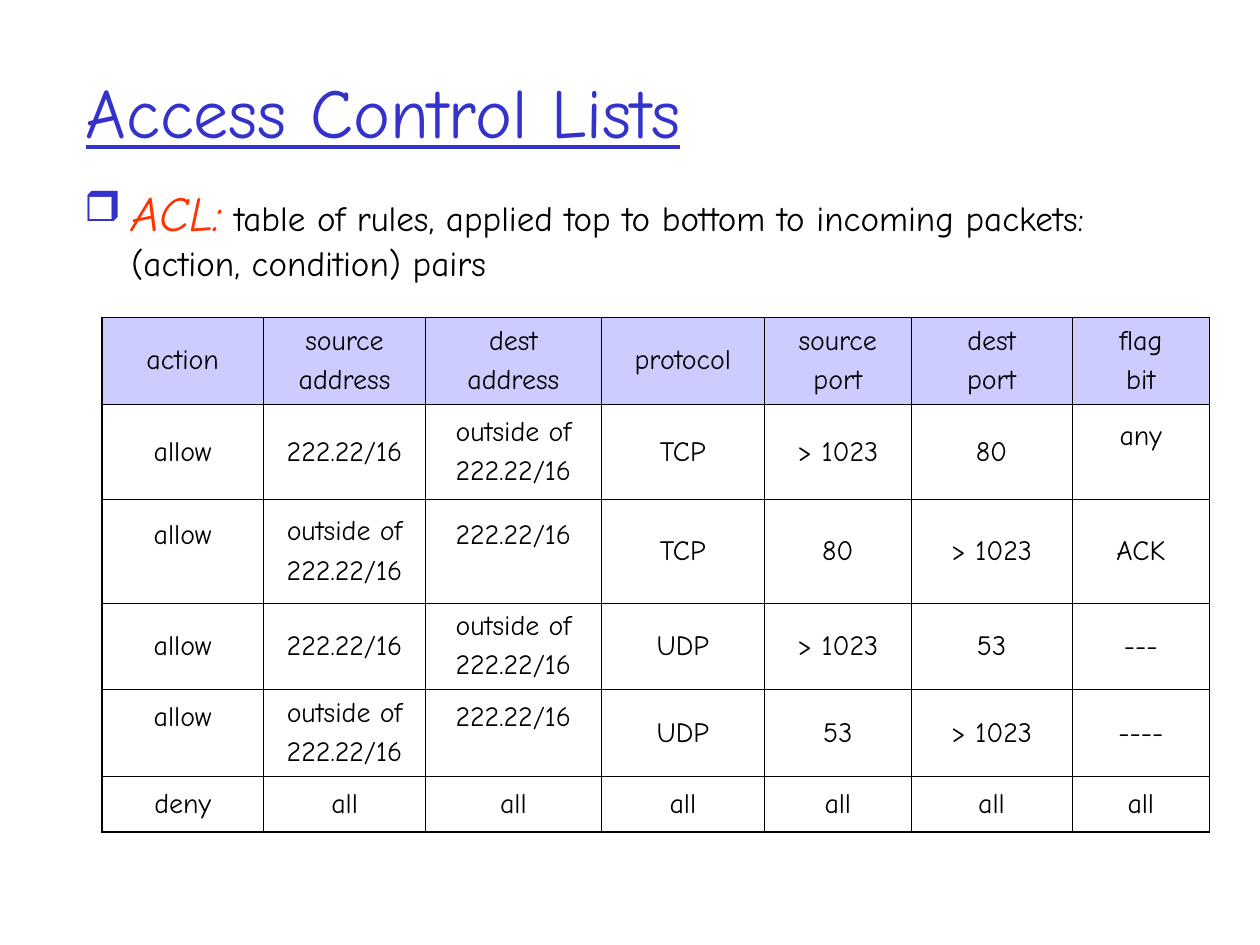
from lxml import etree
from pptx import Presentation
from pptx.dml.color import RGBColor
from pptx.enum.text import MSO_ANCHOR, MSO_AUTO_SIZE, PP_ALIGN
from pptx.oxml.ns import qn
from pptx.util import Pt

LEFT, CENTER = PP_ALIGN.LEFT, PP_ALIGN.CENTER
MIDDLE = MSO_ANCHOR.MIDDLE
NO_FIT = MSO_AUTO_SIZE.NONE

BLACK = RGBColor(0x00, 0x00, 0x00)
BLUE = RGBColor(0x33, 0x33, 0xCC)
RED = RGBColor(0xFF, 0x33, 0x00)
LAVENDER = RGBColor(0xCC, 0xCC, 0xFF)
FONT = "Comic Neue"
THIN, THICK = 0.45, 1.08

COL_WIDTHS = [92.16, 92.88, 100.08, 93.6, 83.52, 92.16, 78.48]
ROW_HEIGHTS = [49.68, 54.72, 59.04, 49.68, 49.68, 31.68]
INSIDE, OUTSIDE = "222.22/16", "outside of\n222.22/16"
RULES = [
    ["action", "source\naddress", "dest\naddress", "protocol",
     "source\nport", "dest\nport", "flag\nbit"],
    ["allow", INSIDE, OUTSIDE, "TCP", "> 1023", "80", "any"],
    ["allow", OUTSIDE, INSIDE, "TCP", "80", "> 1023", "ACK"],
    ["allow", INSIDE, OUTSIDE, "UDP", "> 1023", "53", "---"],
    ["allow", OUTSIDE, INSIDE, "UDP", "53", "> 1023", "----"],
    ["deny"] + ["all"] * 6,
]
RAISED = {(1, 6), (2, 0), (2, 2), (4, 0), (4, 2)}


def add_text(p, text, size=16, color=BLACK, align=LEFT, italic=False, underline=False):
    p.alignment = align
    r = p.add_run()
    r.text = text
    font = r.font
    font.name, font.size, font.color.rgb = FONT, Pt(size), color
    font.italic, font.underline = italic, underline


def add_bullet(p, char, color, percent, indent):
    pPr = p._p.get_or_add_pPr()
    pPr.set("marL", str(Pt(indent)))
    pPr.set("indent", str(-Pt(indent)))
    clr = etree.SubElement(pPr, qn("a:buClr"))
    etree.SubElement(clr, qn("a:srgbClr"), val=str(color))
    etree.SubElement(pPr, qn("a:buSzPct"), val=str(percent * 1000))
    etree.SubElement(pPr, qn("a:buChar"), char=char)


def set_borders(cell, widths):
    tcPr = cell._tc.get_or_add_tcPr()
    for i, (side, width) in enumerate(widths.items()):
        ln = etree.Element(qn(f"a:ln{side}"), w=str(Pt(width)))
        fill = etree.SubElement(ln, qn("a:solidFill"))
        etree.SubElement(fill, qn("a:srgbClr"), val=str(BLACK))
        tcPr.insert(i, ln)


def place_title(s, left, top, width, height):
    title = s.shapes.title
    title.left, title.top = Pt(left), Pt(top)
    title.width, title.height = Pt(width), Pt(height)
    tf = title.text_frame
    tf.auto_size, tf.vertical_anchor = NO_FIT, MIDDLE
    add_text(tf.paragraphs[0], "Access Control Lists", size=40, color=BLUE, underline=True)


def place_definition(s, left, top, width, height):
    tf = s.shapes.add_textbox(Pt(left), Pt(top), Pt(width), Pt(height)).text_frame
    tf.word_wrap = True
    p = tf.paragraphs[0]
    add_bullet(p, "❒", BLUE, 85, 27)
    add_text(p, "ACL:", size=28, color=RED, italic=True)
    add_text(p, " table of rules, applied top to bottom to incoming packets: "
                "(action, condition) pairs", size=20)


def fill_cell(cell, text, raised):
    cell.vertical_anchor = MIDDLE
    if raised:
        cell.margin_bottom = Pt(22)
    tf = cell.text_frame
    for i, line in enumerate(text.split("\n")):
        p = tf.add_paragraph() if i else tf.paragraphs[0]
        if i:
            p.space_before = Pt(4)
        add_text(p, line, align=CENTER)


def place_rules(s, left, top, width, height):
    n_rows, n_cols = len(RULES), len(RULES[0])
    table = s.shapes.add_table(n_rows, n_cols, Pt(left), Pt(top), Pt(width), Pt(height)).table
    table.horz_banding = False
    for column, w in zip(table.columns, COL_WIDTHS):
        column.width = Pt(w * width / sum(COL_WIDTHS))
    for row, h in zip(table.rows, ROW_HEIGHTS):
        row.height = Pt(h * height / sum(ROW_HEIGHTS))
    for i, rule in enumerate(RULES):
        for j, text in enumerate(rule):
            cell = table.cell(i, j)
            fill_cell(cell, text, (i, j) in RAISED)
            if i == 0:
                cell.fill.solid()
                cell.fill.fore_color.rgb = LAVENDER
            else:
                cell.fill.background()
            set_borders(cell, {
                "L": THICK if j == 0 else THIN,
                "R": THICK if j == n_cols - 1 else THIN,
                "T": THICK if i == 0 else THIN,
                "B": THICK if i == n_rows - 1 else THIN,
            })


def main():
    prs = Presentation()
    prs.slide_width, prs.slide_height = Pt(720), Pt(540)
    s = prs.slides.add_slide(prs.slide_layouts[5])
    place_rules(s, 58.3, 181.4, 632.9, 294)
    place_title(s, 41.8, 18, 612, 90)
    place_definition(s, 41, 100.8, 612, 80)
    prs.save("out.pptx")


if __name__ == "__main__":
    main()
